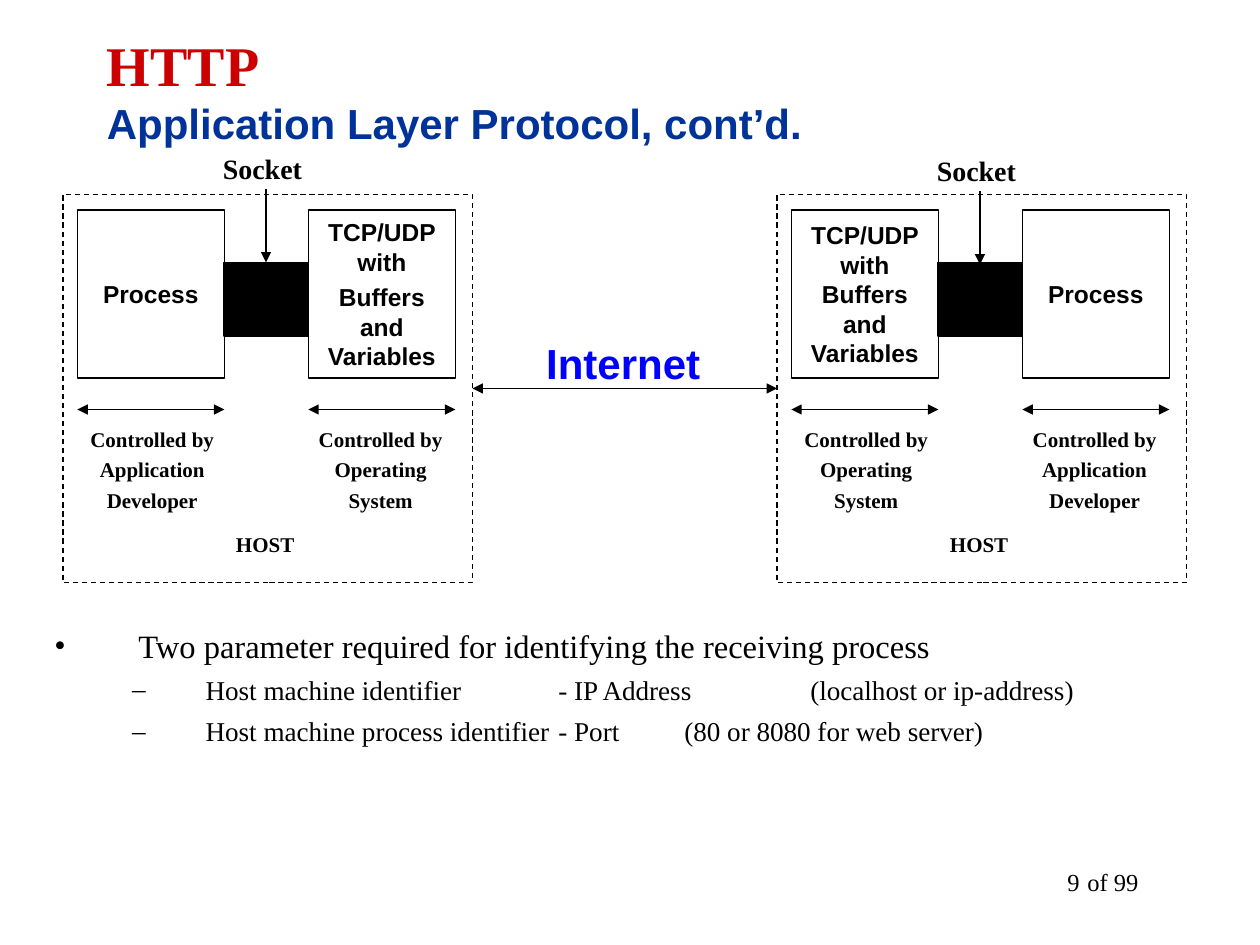
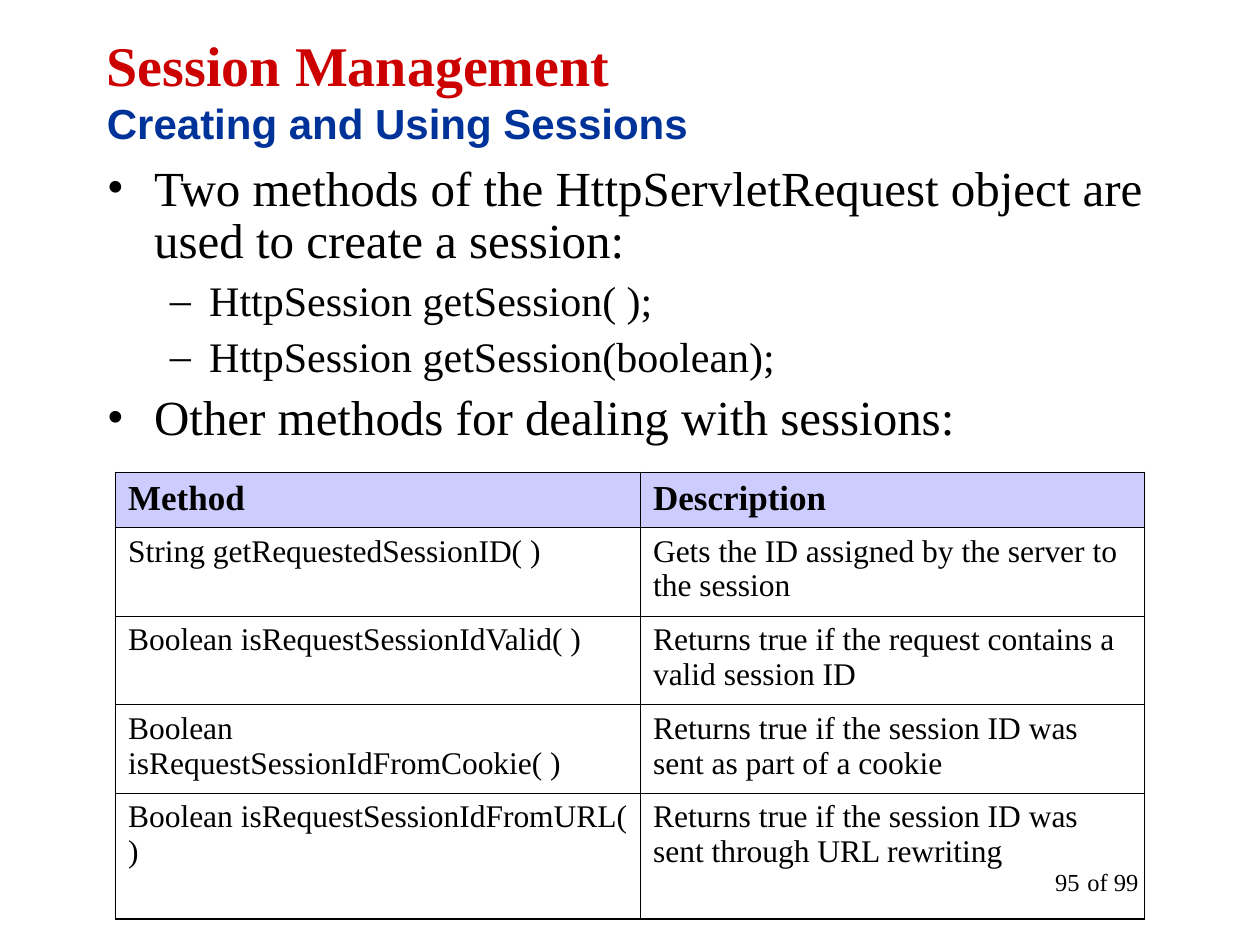
import lxml.etree
import pptx
import pptx.dml.color
import pptx.enum.dml
import pptx.enum.shapes
import pptx.enum.text
import pptx.oxml.ns
import pptx.util

Pt = pptx.util.Pt
qn = pptx.oxml.ns.qn
SubElement = lxml.etree.SubElement
colour = pptx.dml.color.RGBColor.from_string
ALIGN = pptx.enum.text.PP_ALIGN
MIDDLE = pptx.enum.text.MSO_ANCHOR.MIDDLE
RECTANGLE = pptx.enum.shapes.MSO_SHAPE.RECTANGLE
STRAIGHT = pptx.enum.shapes.MSO_CONNECTOR.STRAIGHT

SERIF, SANS = "Times New Roman", "Arial"
BLACK, RED, NAVY, BLUE, LILAC = "000000", "CC0000", "003399", "0000FF", "CCCCFF"


def write(frame, lines, size, font=SERIF, ink=BLACK, bold=False,
          align=ALIGN.LEFT, before=0, wrap=True):
    """Add one paragraph per line and return the last one."""
    frame.word_wrap = wrap
    for line in lines:
        para = frame.paragraphs[0]
        if para.runs:
            para = frame.add_paragraph()
        para.alignment = align
        para.space_before = Pt(before)
        span = para.add_run()
        span.text = line
        span.font.size = Pt(size)
        span.font.name = font
        span.font.bold = bold
        span.font.color.rgb = colour(ink)
    return para


def add_arrow(shapes, x1, y1, x2, y2, ends):
    arrow = shapes.add_connector(STRAIGHT, Pt(x1), Pt(y1), Pt(x2), Pt(y2))
    arrow.line.color.rgb = colour(BLACK)
    arrow.line.width = Pt(0.75)
    outline = arrow.line._get_or_add_ln()
    for end in ends:
        SubElement(outline, qn("a:" + end), type="triangle")
    SubElement(arrow._element.spPr, qn("a:effectLst"))


deck = pptx.Presentation()
deck.slide_width, deck.slide_height = Pt(720), Pt(540)

# Titles and page numbers
pages = []
for heading, subheading, number in [
    ("HTTP", "Application Layer Protocol, cont’d.", "9"),
    ("Session Management", "Creating and Using Sessions", "95"),
]:
    page = deck.slides.add_slide(deck.slide_layouts[6])
    pages.append(page)

    box = page.shapes.add_textbox(Pt(606), Pt(492), Pt(60), Pt(36))
    write(box.text_frame, ["of 99"], 14, align=ALIGN.CENTER)
    box = page.shapes.add_textbox(Pt(516), Pt(492), Pt(108), Pt(36))
    write(box.text_frame, [number], 14, align=ALIGN.RIGHT)

    box = page.shapes.add_textbox(Pt(54), Pt(6), Pt(612), Pt(90))
    box.text_frame.vertical_anchor = MIDDLE
    para = write(box.text_frame, [heading], 32, ink=RED, bold=True)
    para.add_line_break()
    span = para.add_run()
    span.text = subheading
    span.font.size = Pt(24)
    span.font.name = SANS
    span.font.bold = True
    span.font.color.rgb = colour(NAVY)

http_page, session_page = pages

# Bulleted text: (text, level); each level has size, space before, margin, hang
for page, place, spacing, levels, items in [
    (http_page, (24, 354, 678, 120), 1.0,
     [(18.6, 6, 48, 48), (15.5, 5, 86.4, 42)],
     [("Two parameter required for identifying the receiving process", 0),
      ("Host machine identifier\t- IP Address \t(localhost or ip-address)", 1),
      ("Host machine process identifier\t- Port\t(80 or 8080 for web server)", 1)]),
    (session_page, (54, 90, 648, 174), 0.9,
     [(28, 7, 27, 27), (24, 6, 58.5, 22.5)],
     [("Two methods of the HttpServletRequest object are used to create a session:", 0),
      ("HttpSession getSession( );", 1),
      ("HttpSession getSession(boolean);", 1),
      ("Other methods for dealing with sessions:", 0)]),
]:
    box = page.shapes.add_textbox(*map(Pt, place))
    for text, level in items:
        size, before, margin, hang = levels[level]
        para = write(box.text_frame, [text], size, before=before)
        para.level = level
        para.line_spacing = spacing
        props = para._p.get_or_add_pPr()
        props.set("marL", str(Pt(margin)))
        props.set("indent", str(-Pt(hang)))
        SubElement(props, qn("a:buFont"), typeface=SERIF)
        SubElement(props, qn("a:buChar"), char="•–"[level])
        tabs = SubElement(props, qn("a:tabLst"))
        for inch in range(1 + level, 9 + level):
            SubElement(tabs, qn("a:tab"), pos=str(Pt(72 * inch)), algn="l")

# Two hosts, mirrored: (boxed text, who controls it) for each column
process = (["Process"], ["Controlled by", "Application", "Developer"])
system_label = ["Controlled by", "Operating", "System"]
for host_left, socket_drop, columns in [
    (36, 0, [process, (["TCP/UDP with", "Buffers and Variables"], system_label)]),
    (444, 1.2, [(["TCP/UDP with Buffers and Variables"], system_label), process]),
]:
    host = http_page.shapes.add_group_shape().shapes
    rectangles = [  # left, top, width, height, text, filled, dashed
        (host_left + 92, 150, 48, 42, [], True, False),
        (host_left, 111, 234, 222, [], False, True),
    ]
    labels = [(host_left + 91.5, 300, 48, 21.6, ["HOST"])]
    for (boxed, controller), offset, label_offset in zip(columns, (8.2, 140.2), (8.5, 139)):
        left = host_left + offset
        rectangles.append((left, 120, 84, 96, boxed, False, False))
        labels.append((host_left + label_offset, 240, 85, 57, controller))
        add_arrow(host, left, 234, left + 84, 234, ["headEnd", "tailEnd"])

    for left, top, width, height, text, filled, dashed in rectangles:
        box = host.add_shape(RECTANGLE, Pt(left), Pt(top), Pt(width), Pt(height))
        box.shadow.inherit = False
        box.line.color.rgb = colour(BLACK)
        box.line.width = Pt(0.75)
        if dashed:
            box.line.dash_style = pptx.enum.dml.MSO_LINE.DASH
        if filled:
            box.fill.solid()
            box.fill.fore_color.rgb = colour(BLACK)
        else:
            box.fill.background()
        if text:
            box.text_frame.vertical_anchor = MIDDLE
            write(box.text_frame, text, 14, SANS, bold=True,
                  align=ALIGN.CENTER, before=3.5)

    for left, top, width, height, text in labels:
        box = host.add_textbox(Pt(left), Pt(top), Pt(width), Pt(height))
        write(box.text_frame, text, 12, bold=True, align=ALIGN.CENTER,
              before=3, wrap=False)

    socket_x = host_left + 116
    add_arrow(http_page.shapes, socket_x, 108 + socket_drop,
              socket_x, 150 + socket_drop, ["tailEnd"])
    box = http_page.shapes.add_textbox(
        Pt(host_left + 84.3), Pt(83 + socket_drop), Pt(64), Pt(26.6))
    write(box.text_frame, ["Socket"], 16, bold=True, before=4, wrap=False)

add_arrow(http_page.shapes, 270, 222, 444, 222, ["headEnd", "tailEnd"])
box = http_page.shapes.add_textbox(Pt(305), Pt(189.5), Pt(110), Pt(36))
write(box.text_frame, ["Internet"], 24, SANS, BLUE, True, before=6, wrap=False)

# Session methods
methods = [
    ("Method", "Description"),
    ("String getRequestedSessionID( )",
     "Gets the ID assigned by the server to the session"),
    ("Boolean isRequestSessionIdValid( )",
     "Returns true if the request contains a valid session ID"),
    ("Boolean isRequestSessionIdFromCookie( )",
     "Returns true if the session ID was sent as part of a cookie"),
    ("Boolean isRequestSessionIdFromURL( )",
     "Returns true if the session ID was sent through URL rewriting"),
]
row_heights = [31.5, 50.6, 50.6, 50.6, 72]
table = session_page.shapes.add_table(
    5, 2, Pt(66), Pt(270), Pt(588), Pt(sum(row_heights))).table
table.first_row = table.horz_banding = False
table.columns[0].width, table.columns[1].width = Pt(300), Pt(288)
for r, (height, texts) in enumerate(zip(row_heights, methods)):
    table.rows[r].height = Pt(height)
    for c, text in enumerate(texts):
        cell = table.cell(r, c)
        cell_props = cell._tc.get_or_add_tcPr()
        outer_sides = {"L": c == 0, "R": c == 1, "T": r == 0, "B": r == 4}
        for side, outer in outer_sides.items():
            border = SubElement(cell_props, qn("a:ln" + side),
                                w=str(Pt(1.08 if outer else 0.45)))
            paint = SubElement(border, qn("a:solidFill"))
            SubElement(paint, qn("a:srgbClr"), val=BLACK)
        if r == 0:
            cell.fill.solid()
            cell.fill.fore_color.rgb = colour(LILAC)
            write(cell.text_frame, [text], 20, bold=True, before=5)
        else:
            cell.fill.background()
            write(cell.text_frame, [text], 18, before=4.5)

deck.save("out.pptx")
